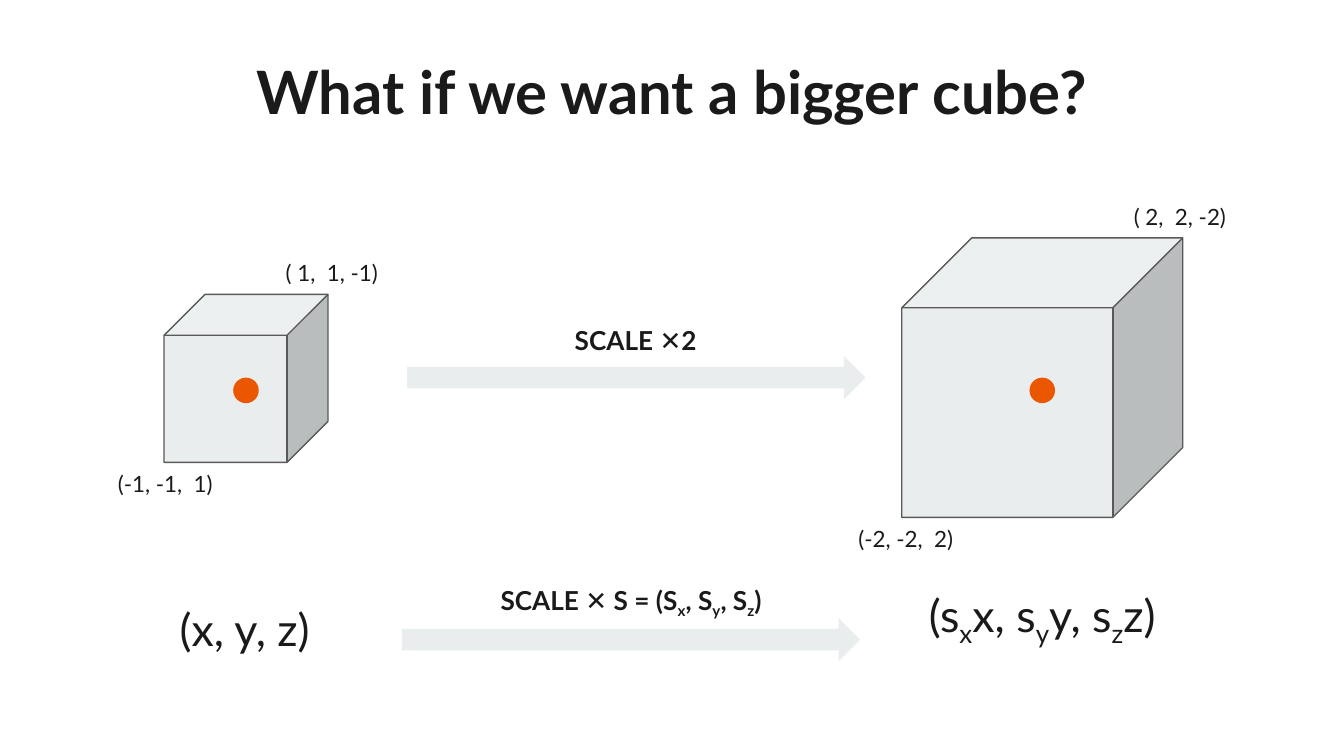
import pptx
import pptx.dml.color
import pptx.enum.shapes
import pptx.enum.text
import pptx.util

SHAPE = pptx.enum.shapes.MSO_SHAPE
ANCHOR = pptx.enum.text.MSO_ANCHOR
THEME = {
    "font": "Lato",
    "ink": "1A1A1A",
    "pale": "E9EDEE",
    "outline": "595959",
    "accent": "EB5600",
    "title": 32,
    "formula": 24,
    "step": 14,
    "corner": 12,
}

presentation = pptx.Presentation()
presentation.slide_width = pptx.util.Inches(10)
presentation.slide_height = presentation.slide_width * 9 // 16
slide = presentation.slides.add_slide(presentation.slide_layouts[5])

# Grid of 100 columns by 56.25 rows; every length below counts columns or rows.
COLUMN = presentation.slide_width / 100
ROW = presentation.slide_height / 56.25


def add_block(kind, left, top, width, height, fill, outline=None):
    """Add a flat preset shape placed on the grid."""
    shape = slide.shapes.add_shape(
        kind, int(left * COLUMN), int(top * ROW), int(width * COLUMN), int(height * ROW))
    shape.shadow.inherit = False
    shape.fill.solid()
    shape.fill.fore_color.rgb = pptx.dml.color.RGBColor.from_string(THEME[fill])
    if outline:
        shape.line.color.rgb = pptx.dml.color.RGBColor.from_string(THEME[outline])
        shape.line.width = pptx.util.Pt(0.75)
    else:
        shape.line.fill.background()


def write(text, style, left, top, width, height, bold=False, shape=None, anchor=ANCHOR.MIDDLE):
    """Write one centred line; underscores switch subscript on and off."""
    shape = shape or slide.shapes.add_textbox(0, 0, 0, 0)
    shape.left, shape.top = int(left * COLUMN), int(top * ROW)
    shape.width, shape.height = int(width * COLUMN), int(height * ROW)
    frame = shape.text_frame
    frame.word_wrap = False
    frame.auto_size = pptx.enum.text.MSO_AUTO_SIZE.NONE
    frame.vertical_anchor = anchor
    frame.margin_left = frame.margin_right = pptx.util.Inches(0.1)
    frame.margin_top = frame.margin_bottom = pptx.util.Inches(0.1)
    paragraph = frame.paragraphs[0]
    paragraph.alignment = pptx.enum.text.PP_ALIGN.CENTER
    for index, piece in enumerate(text.split("_")):
        run = paragraph.add_run()
        run.text = piece
        run.font.name = THEME["font"]
        run.font.size = pptx.util.Pt(THEME[style])
        run.font.bold = bold
        run.font.color.rgb = pptx.dml.color.RGBColor.from_string(THEME["ink"])
        if index % 2:
            run._r.get_or_add_rPr().set("baseline", "-25000")


write("What if we want a bigger cube?", "title", 15.6, 3.1, 68.8, 7.3,
      bold=True, shape=slide.shapes.title, anchor=ANCHOR.TOP)

# Cubes, each with its lower front and upper back corner named
LABEL_WIDTH, LABEL_HEIGHT = 9.4, 3.2
DOT, DOT_TOP = 1.9, 28.1
cubes = [
    (12.2, 21.9, 12.2, 12.5, "(-1, -1,  1)", 7.6, "( 1,  1, -1)", 20),
    (67.1, 17.7, 20.9, 20.8, "(-2, -2,  2)", 62.7, "( 2,  2, -2)", 83.1),
]
for left, top, width, height, front, front_left, back, back_left in cubes:
    add_block(SHAPE.CUBE, left, top, width, height, "pale", "outline")
    write(front, "corner", front_left, top + height, LABEL_WIDTH, LABEL_HEIGHT)
    write(back, "corner", back_left, top - LABEL_HEIGHT, LABEL_WIDTH, LABEL_HEIGHT)
    add_block(SHAPE.OVAL, left + (width - DOT) / 2, DOT_TOP, DOT, DOT, "accent")

# Scaling steps: the caption sits 3.1 rows above its arrow
steps = [
    (30.3, 26.5, "SCALE ✕2", 41.2, 12.2),
    (29.9, 46, "SCALE ✕ S = (S_x_, S_y_, S_z_)", 34.4, 25.1),
]
for left, top, caption, caption_left, caption_width in steps:
    add_block(SHAPE.RIGHT_ARROW, left, top, 34.1, 3.2, "pale")
    write(caption, "step", caption_left, top - 3.1, caption_width, 3.8, bold=True)

write("(x, y, z)", "formula", 9.6, 43.9, 17.2, 5.8)
write("(s_x_x, s_y_y, s_z_z)", "formula", 67.1, 43.1, 20.9, 5.8)

presentation.save("out.pptx")
